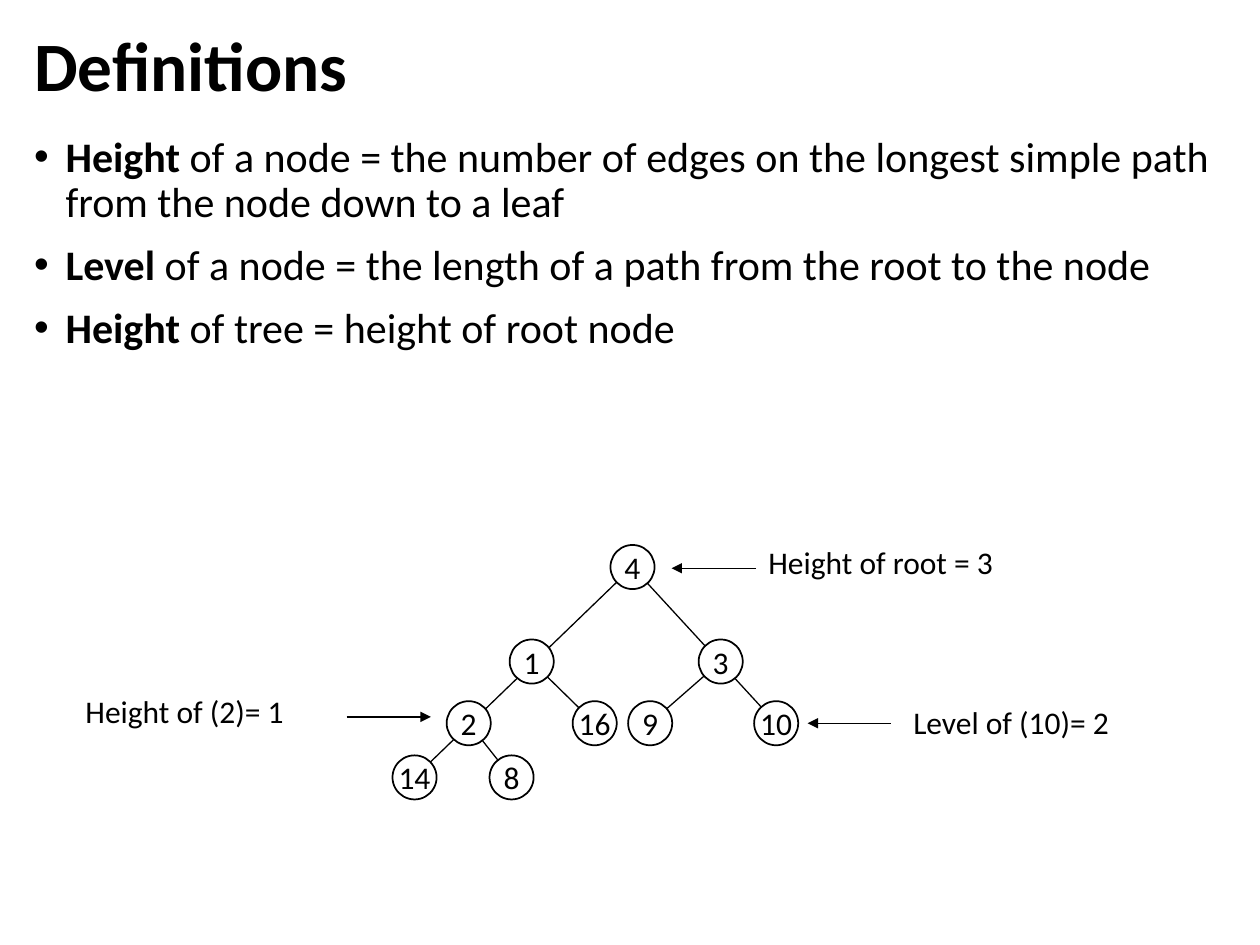
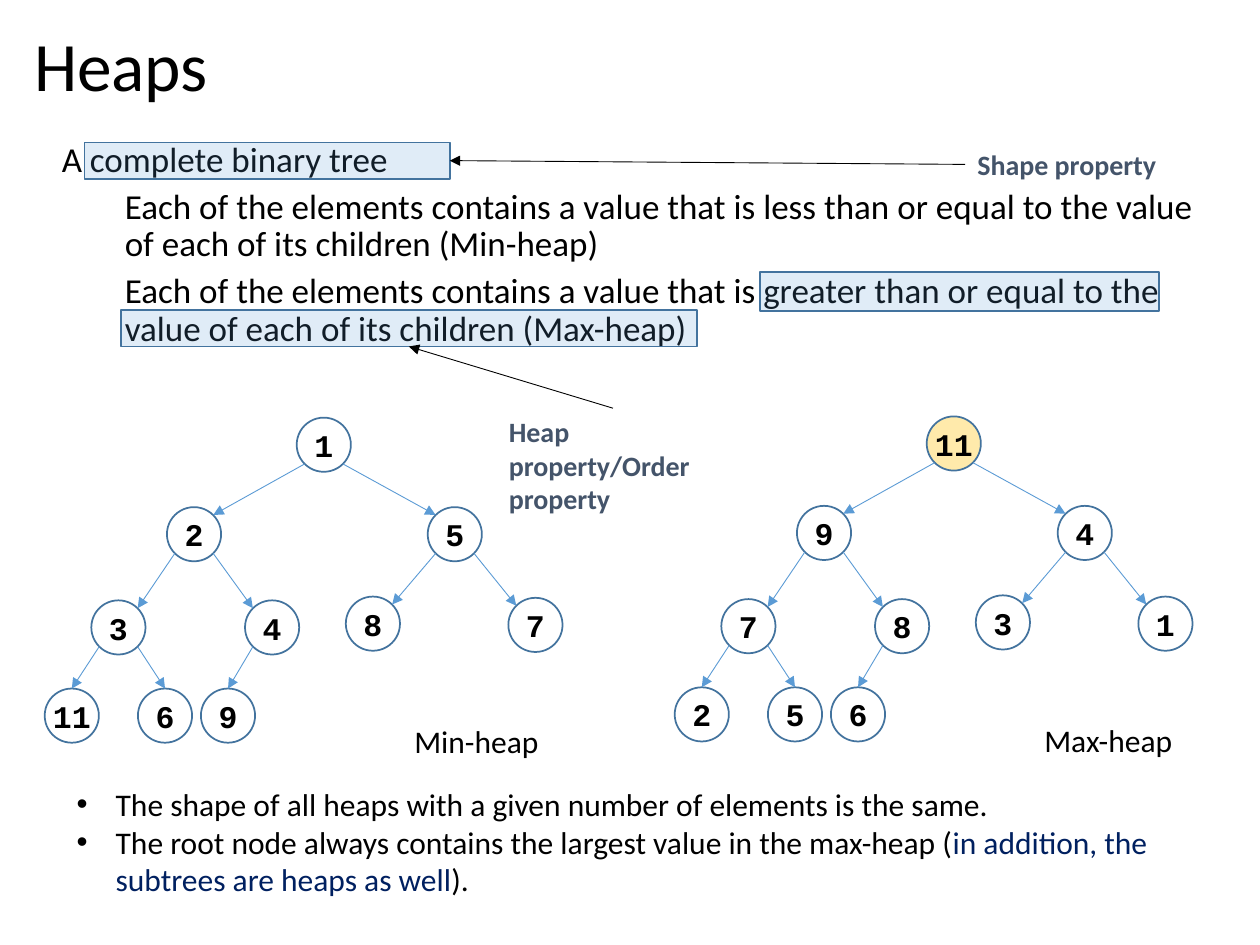
from lxml import etree
from pptx import Presentation
from pptx.dml.color import RGBColor
from pptx.enum.shapes import MSO_CONNECTOR, MSO_SHAPE
from pptx.enum.text import MSO_ANCHOR, MSO_AUTO_SIZE, PP_ALIGN
from pptx.oxml.ns import qn
from pptx.util import Inches, Pt

# Shared look; all lengths count cells of a grid of 10 columns by 7.5 rows
COLUMNS, ROWS, CELL = 10, 7.5, Inches(1)
BLACK = RGBColor(0x00, 0x00, 0x00)
WHITE = RGBColor(0xFF, 0xFF, 0xFF)
BLUE = RGBColor(0x5B, 0x9B, 0xD5)
OUTLINE = RGBColor(0x43, 0x73, 0x9E)
SLATE = RGBColor(0x44, 0x54, 0x6A)
NAVY = RGBColor(0x00, 0x20, 0x60)
GOLD = RGBColor(0xFF, 0xC0, 0x00)
TITLE_BOX = (0.17, 0.18, 9.62, 0.74)
TITLE = {"name": "Calibri", "size": Pt(39.6), "bold": False, "rgb": BLACK}
BODY = {**TITLE, "size": Pt(24)}
HEAP_BODY = {**TITLE, "size": Pt(20)}
LABEL = {**TITLE, "size": Pt(18)}
CALLOUT = {**TITLE, "size": Pt(16), "bold": True, "rgb": SLATE}
HEAP_VALUE = {**LABEL, "name": "Courier New", "bold": True}
BOLD = {"bold": True}
NO_INSETS = {"margin_left": 0, "margin_top": 0, "margin_right": 0, "margin_bottom": 0}

# Paragraphs: runs of (text, changed format), then paragraph format
BULLET = {"bullet": "•", "margin": 0.25, "hanging": 0.25, "before": 10, "spacing": 0.9}
NOTE = {"bullet": "•", "margin": 0.31, "hanging": 0.31}
DEFINITIONS = [
    ([("Height ", BOLD), ("of a node = the number of edges on the longest simple path "
                          "from the node down to a leaf", {})], BULLET),
    ([("Level", BOLD), (" of a node = the length of a path from the root to the node", {})],
     BULLET),
    ([("Height ", BOLD), ("of tree = height of root node", {})], BULLET),
]
PROPERTY = {"margin": 0.5, "before": 5, "spacing": 0.9}
PROPERTIES = [
    ([("A complete binary tree", {})], {"spacing": 0.9}),
    ([("Each of the elements contains a value that is less than or equal to the value "
       "of each of its children (Min-heap)", {})], PROPERTY),
    ([("Each of the elements contains a value that is greater than or equal to the value "
       "of each of its children (Max-heap)", {})], PROPERTY),
]
HEAP_NOTES = [
    ([("The shape of all heaps with a given number of elements is the same.", {})], NOTE),
    ([("The root node always contains the largest value in the max-heap (", {}),
      ("in addition, the subtrees are heaps as well", {"rgb": NAVY}), (").", {})], NOTE),
]

# Definitions tree: node centres, and branches that run through the nodes between
NODE_SIZE = 0.35
TREE_NODES = {4: (5.02, 4.5), 1: (4.22, 5.25), 3: (5.72, 5.25), 2: (3.72, 5.74),
              16: (4.72, 5.74), 9: (5.16, 5.74), 10: (6.16, 5.74),
              14: (3.29, 6.17), 8: (4.06, 6.17)}
BRANCHES = [(4, 14), (4, 10), (1, 16), (2, 8), (3, 9)]
MEASURES = [  # label, label box, arrow start, arrow end
    ("Height of root = 3", (6, 4.26, 2.12, 0.4), (6, 4.51), (5.33, 4.51)),
    ("Height of (2)= 1", (0.58, 5.44, 1.93, 0.4), (2.75, 5.69), (3.42, 5.69)),
    ("Level of (10)= 2", (7.15, 5.53, 1.94, 0.4), (7.07, 5.74), (6.41, 5.74)),
]

# Heaps: values in array order, so the parent of i is (i - 1) // 2
HEAP_NODE_SIZE = 0.43
HEAP_OFFSETS = [(0, 0), (-1.03, 0.71), (1.04, 0.71), (-1.63, 1.45), (-0.41, 1.45),
                (0.39, 1.42), (1.68, 1.43), (-2, 2.15), (-1.26, 2.15), (-0.76, 2.15)]
BOTTOM_LEVEL = 7
HEAPS = [  # name, root centre, values, root fill
    ("Max-heap", (7.57, 3.52), [11, 9, 4, 7, 8, 3, 1, 2, 5, 6], GOLD),
    ("Min-heap", (2.57, 3.53), [1, 2, 5, 3, 4, 8, 7, 11, 6, 9], None),
]
HIGHLIGHTS = [(0.67, 1.13, 2.9, 0.29), (6.03, 2.16, 3.17, 0.31), (0.96, 2.46, 4.57, 0.29)]
CALLOUTS = [  # text, box, side it leaves, highlight reached, side reached
    ("Shape property", (7.66, 1.12, 2.14, 0.37), 1, 0, 3),
    ("Heap property/Order property", (3.94, 3.24, 1.85, 0.91), 0, 2, 2),
]


def cells(*lengths):
    return [round(length * CELL) for length in lengths]


def set_font(font, values):
    for name, value in values.items():
        if name == "rgb":
            font.color.rgb = value
        else:
            setattr(font, name, value)


def fill_text(text_frame, paragraphs, font_format):
    for index, (runs, layout) in enumerate(paragraphs):
        paragraph = text_frame.paragraphs[0] if index == 0 else text_frame.add_paragraph()
        properties = paragraph._p.get_or_add_pPr()
        properties.set("marL", str(cells(layout.get("margin", 0))[0]))
        properties.set("indent", str(-cells(layout.get("hanging", 0))[0]))
        if "bullet" in layout:
            etree.SubElement(properties, qn("a:buFont"), typeface="Arial")
            etree.SubElement(properties, qn("a:buChar"), char=layout["bullet"])
        else:
            etree.SubElement(properties, qn("a:buNone"))
        paragraph.alignment = layout.get("align", PP_ALIGN.LEFT)
        paragraph.line_spacing = layout.get("spacing", 1.0)
        paragraph.space_before = Pt(layout.get("before", 0) if index else 0)
        for text, changes in runs:
            run = paragraph.add_run()
            run.text = text
            set_font(run.font, {**font_format, **changes})


def fill_placeholder(shape, box, paragraphs, font_format):
    shape.left, shape.top, shape.width, shape.height = cells(*box)
    shape.text_frame.auto_size = MSO_AUTO_SIZE.NONE
    fill_text(shape.text_frame, paragraphs, font_format)


def add_slide(presentation, title, title_changes, body_box, body, body_format):
    slide = presentation.slides.add_slide(presentation.slide_layouts[1])
    fill_placeholder(slide.shapes.title, TITLE_BOX,
                     [([(title, title_changes)], {"spacing": 0.9})], TITLE)
    fill_placeholder(slide.placeholders[1], body_box, body, body_format)
    return slide


def add_text(shapes, box, paragraphs, font_format):
    textbox = shapes.add_textbox(*cells(*box))
    textbox.text_frame.word_wrap = True
    fill_text(textbox.text_frame, paragraphs, font_format)
    return textbox


def add_line(shapes, start, end, color, width, arrow=True):
    line = shapes.add_connector(MSO_CONNECTOR.STRAIGHT, *cells(*start, *end))
    line.line.color.rgb = color
    line.line.width = Pt(width)
    if arrow:
        etree.SubElement(line.line._get_or_add_ln(), qn("a:tailEnd"), type="triangle")
    etree.SubElement(line._element.spPr, qn("a:effectLst"))
    return line


def add_outlined(shapes, preset, box, outline, fill=None, opacity=100):
    shape = shapes.add_shape(preset, *cells(*box))
    shape.shadow.inherit = False
    shape.line.color.rgb = outline
    shape.line.width = Pt(1)
    if fill is None:
        shape.fill.background()
    else:
        shape.fill.solid()
        shape.fill.fore_color.rgb = fill
        color = shape._element.spPr.find(qn("a:solidFill"))[0]
        if opacity < 100:
            etree.SubElement(color, qn("a:alpha"), val=str(opacity * 1000))
    return shape


def add_node(shapes, value, center, size, font_format, frame_format, *look):
    x, y = center
    node = add_outlined(shapes, MSO_SHAPE.OVAL, (x - size / 2, y - size / 2, size, size), *look)
    for name, setting in {"vertical_anchor": MSO_ANCHOR.MIDDLE, **frame_format}.items():
        setattr(node.text_frame, name, setting)
    fill_text(node.text_frame, [([(str(value), {})], {"align": PP_ALIGN.CENTER})], font_format)


def add_heap(slide, name, root, values, root_fill):
    shapes = slide.shapes.add_group_shape().shapes
    centers = [(root[0] + x, root[1] + y) for x, y in HEAP_OFFSETS]
    radius = HEAP_NODE_SIZE / 2
    diagonal = radius * 0.71
    for index, (value, (x, y)) in enumerate(zip(values, centers)):
        add_node(shapes, value, (x, y), HEAP_NODE_SIZE, HEAP_VALUE, NO_INSETS,
                 OUTLINE, None if index else root_fill, 33)
        if index:
            parent_x, parent_y = centers[(index - 1) // 2]
            side = 1 if x > parent_x else -1
            start = (parent_x + side * diagonal, parent_y + diagonal)
            if index >= BOTTOM_LEVEL:
                end = (x, y - radius)
            else:
                end = (x - side * diagonal, y - diagonal)
            add_line(shapes, start, end, BLUE, 0.5)
    add_text(shapes, (root[0] + 0.62, root[1] + 2.15, 1.46, 0.4), [([(name, {})], {})], LABEL)


def build_definitions(presentation):
    slide = add_slide(presentation, "Definitions", BOLD, (0.17, 1.03, 9.62, 5.73),
                      DEFINITIONS, BODY)
    for first, last in BRANCHES:
        add_line(slide.shapes, TREE_NODES[first], TREE_NODES[last], BLACK, 0.75, arrow=False)
    for value, center in TREE_NODES.items():
        add_node(slide.shapes, value, center, NODE_SIZE, LABEL, {"word_wrap": False},
                 BLACK, WHITE)
    for text, box, start, end in MEASURES:
        add_text(slide.shapes, box, [([(text, {})], {})], LABEL)
        add_line(slide.shapes, start, end, BLACK, 0.75)


def build_heaps(presentation):
    slide = add_slide(presentation, "Heaps", {}, (0.39, 1.08, 9.4, 1.94), PROPERTIES, HEAP_BODY)
    for heap in HEAPS:
        add_heap(slide, *heap)
    highlights = [add_outlined(slide.shapes, MSO_SHAPE.RECTANGLE, box, OUTLINE, BLUE, 19)
                  for box in HIGHLIGHTS]
    for text, box, leaving_side, target, reached_side in CALLOUTS:
        callout = add_text(slide.shapes, box, [([(text, {})], {})], CALLOUT)
        arrow = add_line(slide.shapes, (0, 0), (1, 1), BLACK, 0.5)
        arrow.begin_connect(callout, leaving_side)
        arrow.end_connect(highlights[target], reached_side)
    add_text(slide.shapes, (0.51, 6.18, 8.96, 1.01), HEAP_NOTES, LABEL)


def main():
    presentation = Presentation()
    presentation.slide_width, presentation.slide_height = cells(COLUMNS, ROWS)
    build_definitions(presentation)
    build_heaps(presentation)
    presentation.save("out.pptx")


if __name__ == "__main__":
    main()
